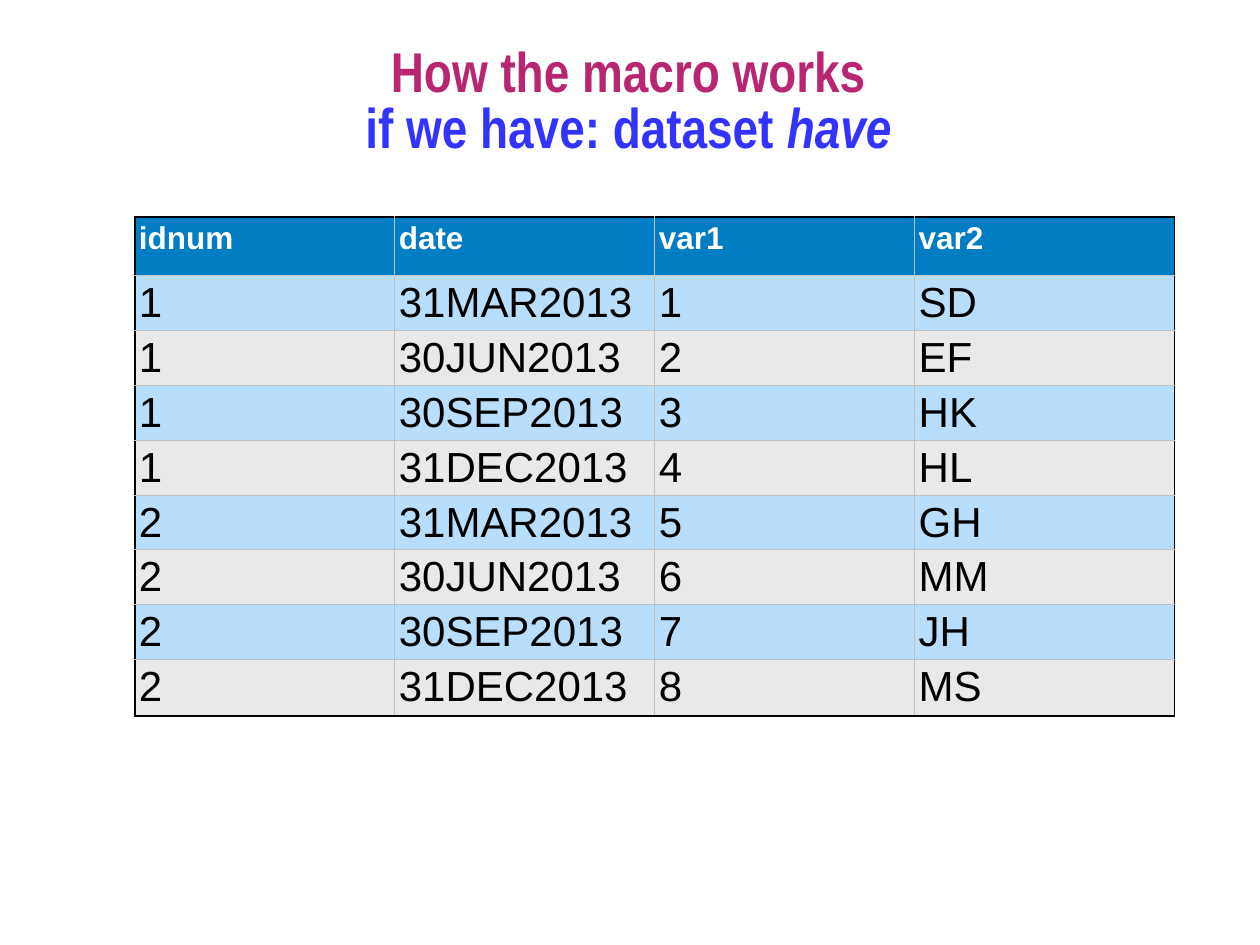
from pptx import Presentation
from pptx.dml.color import RGBColor as RGB
from pptx.enum.text import MSO_ANCHOR as Anchor, MSO_AUTO_SIZE as Fit, PP_ALIGN as Align
from pptx.oxml import parse_xml
from pptx.oxml.ns import nsdecls
from pptx.util import Cm, Pt


def hue(code):
    return RGB.from_string(code)


def edge(cell, side, outer):
    code, width = ("000000", Pt(1)) if outer else ("C1C1C1", Pt(0.75))
    cell._tc.get_or_add_tcPr().append(parse_xml(
        f'<a:{side} {nsdecls("a")} w="{width}"><a:solidFill>'
        f'<a:srgbClr val="{code}"/></a:solidFill></a:{side}>'))


deck = Presentation()
deck.slide_width, deck.slide_height = Cm(25.4), Cm(19.05)
slide = deck.slides.add_slide(deck.slide_layouts[5])

title = slide.shapes.title
title.left, title.top, title.width, title.height = Cm(-0.03), Cm(0.86), Cm(25.4), Cm(2.46)
frame = title.text_frame
frame.word_wrap = True
frame.auto_size = Fit.NONE
frame.vertical_anchor = Anchor.MIDDLE
heads = [("B82672", ["How the macro works"]),
         ("3333FF", ["if we have: dataset ", "have"])]
for i, (code, parts) in enumerate(heads):
    para = frame.add_paragraph() if i else frame.paragraphs[0]
    para.alignment = Align.CENTER
    para.line_spacing = 0.83
    para.space_before = Pt(0)
    font = para.font
    font.name, font.size, font.bold = "Arial Narrow", Pt(32), True
    font.color.rgb = hue(code)
    for part in parts:
        run = para.add_run()
        run.text = part
        if part == "have":
            run.font.italic = True

rows = [("idnum", "date", "var1", "var2"),
        ("1", "31MAR2013", "1", "SD"),
        ("1", "30JUN2013", "2", "EF"),
        ("1", "30SEP2013", "3", "HK"),
        ("1", "31DEC2013", "4", "HL"),
        ("2", "31MAR2013", "5", "GH"),
        ("2", "30JUN2013", "6", "MM"),
        ("2", "30SEP2013", "7", "JH"),
        ("2", "31DEC2013", "8", "MS")]
end, last = len(rows) - 1, len(rows[0]) - 1
table = slide.shapes.add_table(len(rows), len(rows[0]), Cm(2.72), Cm(4.37),
                               Cm(20.96), Cm(10.09)).table
for col in table.columns:
    col.width = Cm(5.24)
for r, row in enumerate(rows):
    table.rows[r].height = Cm({0: 1.19, end: 1.14}.get(r, 1.1))
    for c, text in enumerate(row):
        cell = table.cell(r, c)
        cell.margin_left = cell.margin_right = Cm(0.08)
        cell.margin_top = cell.margin_bottom = Cm(0.08)
        edge(cell, "lnL", c == 0)
        edge(cell, "lnR", c == last)
        edge(cell, "lnT", r == 0)
        edge(cell, "lnB", r == end)
        cell.fill.solid()
        cell.fill.fore_color.rgb = hue("007DC3" if r == 0 else "B8DEFE" if r % 2 else "E9E9E9")
        cell.text = text
        font = cell.text_frame.paragraphs[0].font
        font.name, font.bold = "Arial", r == 0
        font.size = Pt(24 if r else 18)
        font.color.rgb = hue("000000" if r else "FFFFFF")

deck.save("out.pptx")
